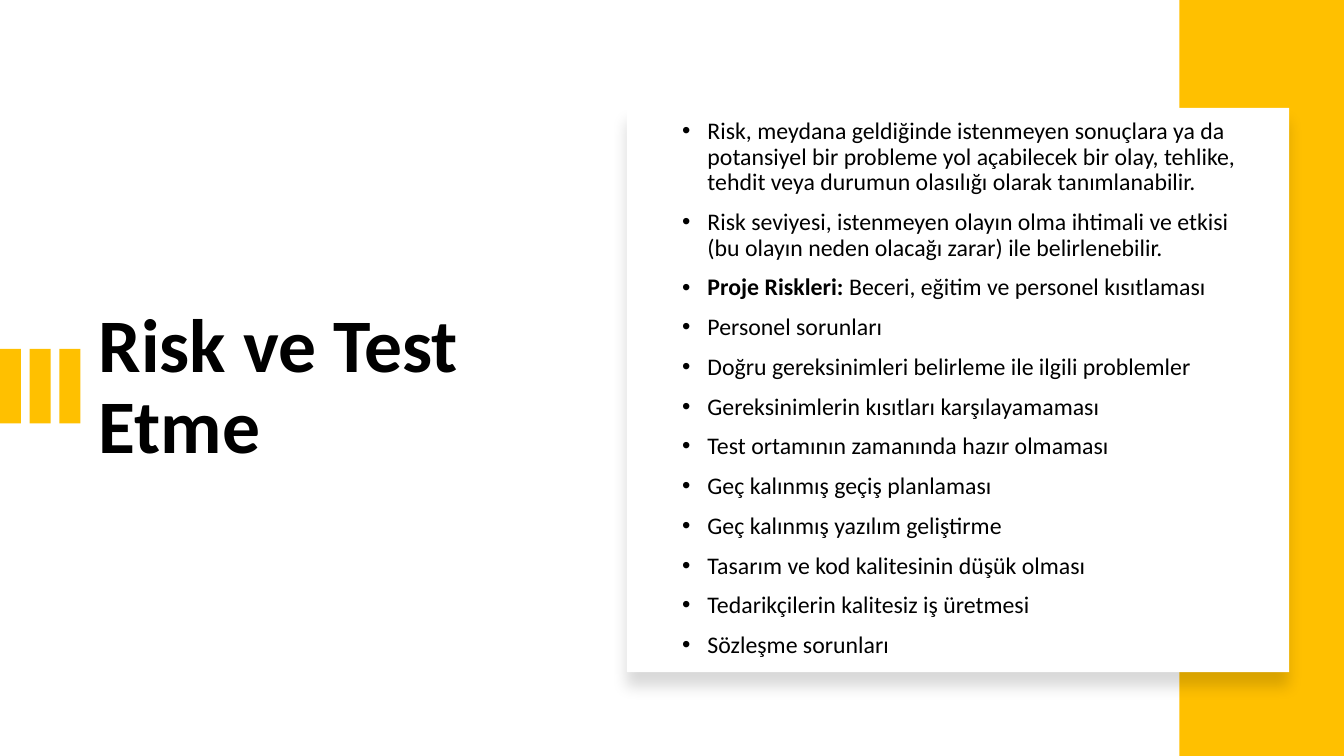
"""Build the slide on risk and testing."""
from lxml.etree import SubElement
from pptx import Presentation
from pptx.dml.color import RGBColor
from pptx.enum.shapes import MSO_SHAPE
from pptx.enum.text import MSO_ANCHOR
from pptx.oxml.ns import qn
from pptx.util import Cm, Pt

TITLE = "Risk ve Test Etme"
RISKS = [
    ("", "Risk, meydana geldiğinde istenmeyen sonuçlara ya da potansiyel bir probleme yol açabilecek bir olay, tehlike, tehdit veya durumun olasılığı olarak tanımlanabilir."),
    ("", "Risk seviyesi, istenmeyen olayın olma ihtimali ve etkisi (bu olayın neden olacağı zarar) ile belirlenebilir."),
    ("Proje Riskleri: ", "Beceri, eğitim ve personel kısıtlaması"),
    ("", "Personel sorunları"),
    ("", "Doğru gereksinimleri belirleme ile ilgili problemler"),
    ("", "Gereksinimlerin kısıtları karşılayamaması"),
    ("", "Test ortamının zamanında hazır olmaması"),
    ("", "Geç kalınmış geçiş planlaması"),
    ("", "Geç kalınmış yazılım geliştirme"),
    ("", "Tasarım ve kod kalitesinin düşük olması"),
    ("", "Tedarikçilerin kalitesiz iş üretmesi"),
    ("", "Sözleşme sorunları"),
]
GOLD, WHITE, BLACK = "FFC000", "FFFFFF", "000000"
WIDE, HIGH = 33.87, 19.05
BARS, STEP = 3, 0.75
BAND = 4.15
FRAME = {"word_wrap": True, "vertical_anchor": MSO_ANCHOR.MIDDLE}
HEAD = {"name": "Calibri", "size": Pt(54), "bold": True}
BODY = {"name": "Calibri", "size": Pt(17), "bold": False}
STRONG = {**BODY, "bold": True}
LINE = {"line_spacing": 0.9}
ITEM = {**LINE, "space_before": Pt(10)}
INDENT = Cm(0.64)
SHADE = {"blurRad": Pt(11), "dist": Pt(10), "dir": 90 * 60000, "algn": "t", "rotWithShape": 0}


def apply(item, form):
    for key, value in form.items():
        setattr(item, key, value)


def paint(target, color):
    target.rgb = RGBColor.from_string(color)


def block(slide, left, top, width, height, color):
    shape = slide.shapes.add_shape(
        MSO_SHAPE.RECTANGLE, Cm(left), Cm(top), Cm(width), Cm(height))
    shape.fill.solid()
    paint(shape.fill.fore_color, color)
    shape.line.fill.background()
    shape.shadow.inherit = False
    return shape


def shade(shape):
    effects = shape.element.spPr.find(qn("a:effectLst"))
    outer = SubElement(effects, qn("a:outerShdw"), {k: str(v) for k, v in SHADE.items()})
    color = SubElement(outer, qn("a:srgbClr"), val=BLACK)
    SubElement(color, qn("a:alpha"), val="15000")


def panel(slide, left, width):
    box = slide.shapes.add_textbox(Cm(left), Cm(3.71), Cm(width), Cm(12.17))
    apply(box.text_frame, FRAME)
    return box.text_frame


def write(para, text, form):
    run = para.add_run()
    run.text = text
    apply(run.font, form)
    paint(run.font.color, BLACK)


def bullet(para):
    props = para._p.get_or_add_pPr()
    props.set("marL", str(INDENT))
    props.set("indent", str(-INDENT))
    SubElement(props, qn("a:buFont"), typeface="Arial")
    SubElement(props, qn("a:buChar"), char="•")


def main():
    deck = Presentation()
    apply(deck, {"slide_width": Cm(WIDE), "slide_height": Cm(HIGH)})
    slide = deck.slides.add_slide(deck.slide_layouts[6])

    para = panel(slide, 2.24, 14.02).paragraphs[0]
    apply(para, LINE)
    write(para, TITLE, HEAD)

    for i in range(BARS):
        block(slide, i * STEP, 8.79, 0.53, 1.88, GOLD)
    block(slide, WIDE - BAND, 0, BAND, HIGH, GOLD)
    shade(block(slide, 15.8, 2.72, 16.69, 14.22, WHITE))

    frame = panel(slide, 16.94, 14.61)
    for i, (lead, text) in enumerate(RISKS):
        para = frame.add_paragraph() if i else frame.paragraphs[0]
        apply(para, ITEM)
        bullet(para)
        if lead:
            write(para, lead, STRONG)
        write(para, text, BODY)

    deck.save("out.pptx")


if __name__ == "__main__":
    main()
